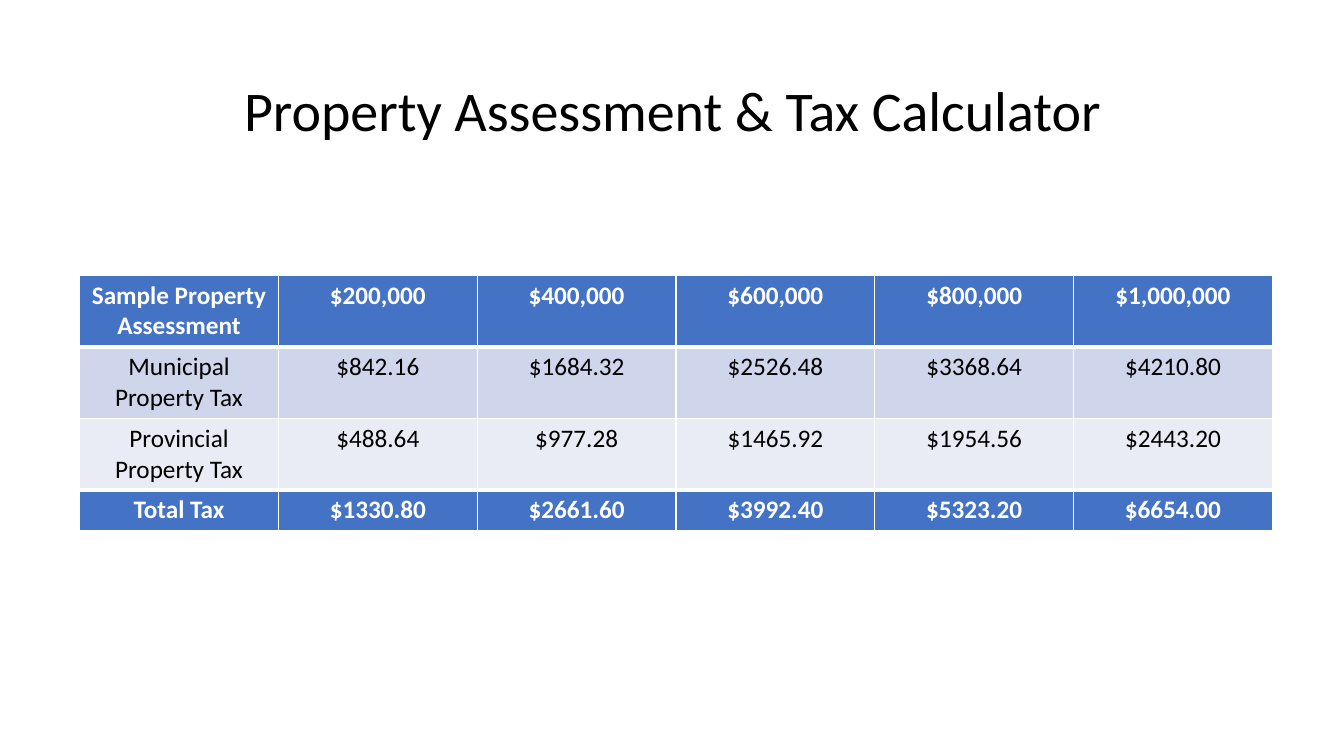
from dataclasses import dataclass

from lxml import etree
from pptx import Presentation
from pptx import util as u
from pptx.dml.color import RGBColor
from pptx.enum import text
from pptx.oxml import ns


@dataclass(frozen=True)
class Theme:
    font: str = "Calibri"
    title: int = 40
    body: int = 18
    black: str = "000000"
    white: str = "FFFFFF"
    blue: str = "4472C4"
    mid: str = "CFD5EA"
    pale: str = "E9EBF5"
    thin: int = 1
    thick: int = 3


theme = Theme()


def style(para, size, color, bold=False):
    para.alignment = text.PP_ALIGN.CENTER
    para.font.name = theme.font
    para.font.size = u.Pt(size)
    para.font.bold = bold
    para.font.color.rgb = RGBColor.from_string(color)


def edge(cell, side, width):
    """Draw a white border on one side (L, R, T or B) of a cell."""
    props = cell._tc.get_or_add_tcPr()
    line = etree.SubElement(props, ns.qn(f"a:ln{side}"), w=str(u.Pt(width)))
    fill = etree.SubElement(line, ns.qn("a:solidFill"))
    etree.SubElement(fill, ns.qn("a:srgbClr"), val=theme.white)


deck = Presentation()
deck.slide_width = u.Inches(13.33)
deck.slide_height = u.Inches(7.5)
slide = deck.slides.add_slide(deck.slide_layouts[6])

title = slide.shapes.add_textbox(
    u.Inches(0.92), u.Inches(0.4), u.Inches(11.5), u.Inches(1.45)
).text_frame
title.word_wrap = True
title.vertical_anchor = text.MSO_ANCHOR.MIDDLE
head = title.paragraphs[0]
head.text = "Property Assessment & Tax Calculator"
head.line_spacing = 0.9
style(head, theme.title, theme.black)

# Label and values, fill, text color, bold, row height
rows = [
    (["Sample Property Assessment", "$200,000", "$400,000", "$600,000", "$800,000", "$1,000,000"],
     theme.blue, theme.white, True, 0.71),
    (["Municipal Property Tax", "$842.16", "$1684.32", "$2526.48", "$3368.64", "$4210.80"],
     theme.mid, theme.black, False, 0.71),
    (["Provincial Property Tax", "$488.64", "$977.28", "$1465.92", "$1954.56", "$2443.20"],
     theme.pale, theme.black, False, 0.71),
    (["Total Tax", "$1330.80", "$2661.60", "$3992.40", "$5323.20", "$6654.00"],
     theme.blue, theme.white, True, 0.4),
]
last = len(rows) - 1
table = slide.shapes.add_table(
    len(rows), len(rows[0][0]), u.Inches(0.79), u.Inches(2.73), u.Inches(11.83), u.Inches(2.53)
).table
table.horz_banding = False

for r, (words, fill, color, bold, height) in enumerate(rows):
    table.rows[r].height = u.Inches(height)
    top = theme.thick if r in (1, last) else theme.thin
    base = theme.thick if r in (0, last - 1) else theme.thin
    for c, word in enumerate(words):
        cell = table.cell(r, c)
        for side, width in zip("LRTB", (theme.thin, theme.thin, top, base)):
            edge(cell, side, width)
        cell.fill.solid()
        cell.fill.fore_color.rgb = RGBColor.from_string(fill)
        cell.text = word
        style(cell.text_frame.paragraphs[0], theme.body, color, bold)

deck.save("out.pptx")
